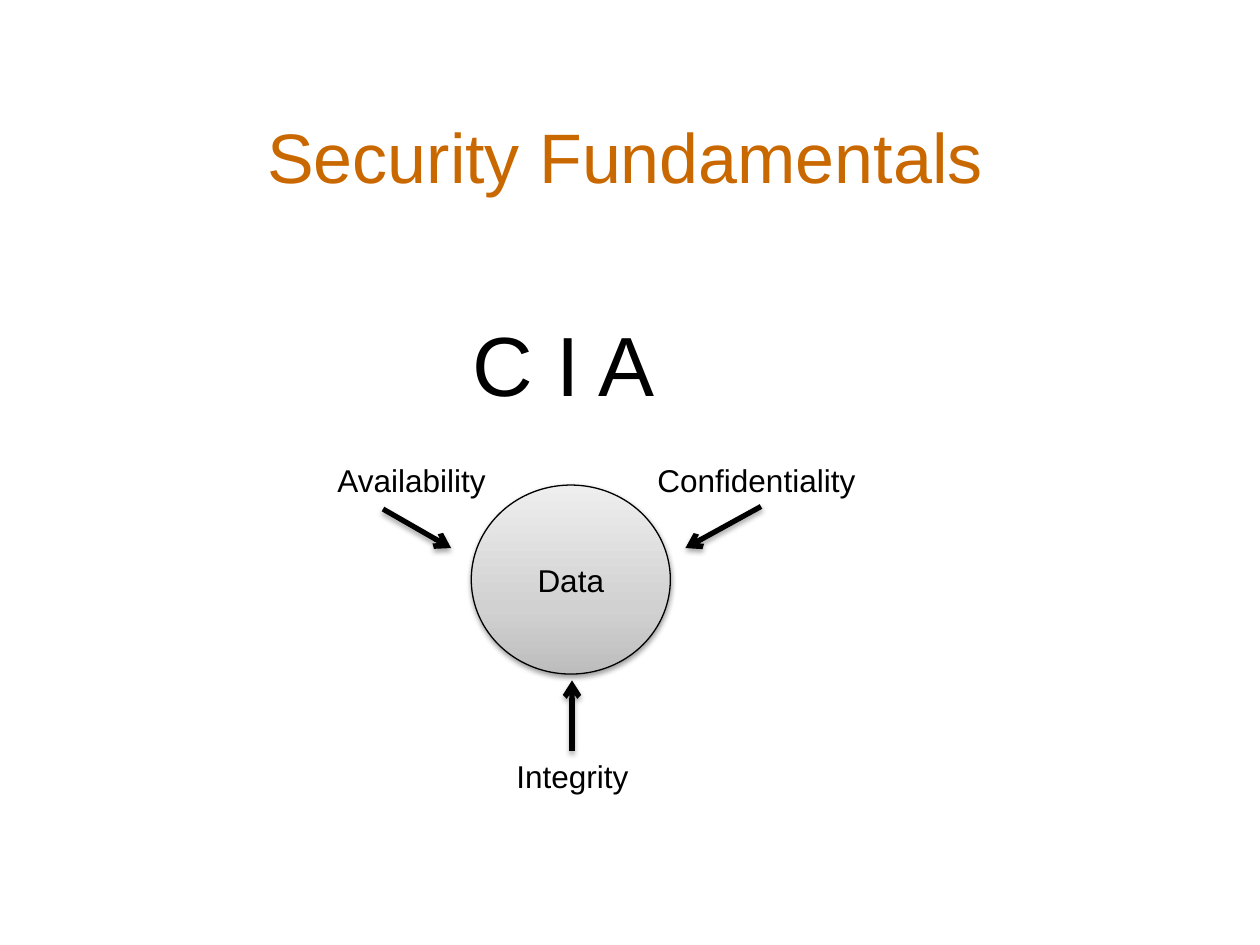
from dataclasses import dataclass

import pptx
import pptx.dml.color
import pptx.enum.dml
import pptx.enum.shapes
import pptx.enum.text
import pptx.oxml
import pptx.oxml.ns
import pptx.slide
import pptx.util
from lxml import etree
from pptx.dml.color import RGBColor
from pptx.util import Inches

BLACK = RGBColor(0x00, 0x00, 0x00)
ORANGE = RGBColor(0xCA, 0x68, 0x00)
GRADIENT_STOPS = (
    (0, RGBColor(0xBD, 0xBD, 0xBD)),
    (35, RGBColor(0xD1, 0xD1, 0xD1)),
    (100, RGBColor(0xEE, 0xEE, 0xEE)),
)
FONT = "Arial"
qn = pptx.oxml.ns.qn


@dataclass
class Label:
    text: str
    left: float
    top: float
    width: float
    height: float = 0.4
    size: int = 18
    color: RGBColor = BLACK
    centered: bool = False


@dataclass
class Arrow:
    start: tuple[float, float]
    end: tuple[float, float]


LABELS = (
    Label("Confidentiality", 5.12, 3.61, 1.83),
    Label("Integrity", 4, 5.96, 1.12),
    Label("Availability", 2.58, 3.61, 1.42),
    Label("C I A", 3.65, 2.43, 1.83, 0.91, size=48),
    Label("Security Fundamentals", 0.46, 0.92, 9, 0.63, 40, ORANGE, True),
)
ARROWS = (
    Arrow((3.04, 4.04), (3.58, 4.35)),
    Arrow((4.54, 5.96), (4.54, 5.4)),
    Arrow((6.04, 4.02), (5.44, 4.35)),
)


def write_text(shape, text: str, size: int, color: RGBColor, centered: bool) -> None:
    frame = shape.text_frame
    frame.word_wrap = True
    frame.text = text
    if centered:
        frame.vertical_anchor = pptx.enum.text.MSO_ANCHOR.MIDDLE
        frame.paragraphs[0].alignment = pptx.enum.text.PP_ALIGN.CENTER
    font = frame.paragraphs[0].runs[0].font
    font.name = FONT
    font.size = pptx.util.Pt(size)
    font.color.rgb = color


def add_shadow(effects, opacity: int, distance: float) -> None:
    """Put a soft black shadow, falling straight down, in an effect list."""
    shadow = etree.SubElement(
        effects, qn("a:outerShdw"),
        blurRad=str(pptx.util.Pt(3.1)), dist=str(pptx.util.Pt(distance)),
        dir=str(90 * 60000), rotWithShape="0",
    )
    color = etree.SubElement(shadow, qn("a:srgbClr"), val=str(BLACK))
    etree.SubElement(color, qn("a:alpha"), val=str(opacity * 1000))


def add_label(slide: pptx.slide.Slide, label: Label) -> None:
    box = slide.shapes.add_textbox(
        Inches(label.left), Inches(label.top), Inches(label.width), Inches(label.height)
    )
    write_text(box, label.text, label.size, label.color, label.centered)


def add_arrow(slide: pptx.slide.Slide, arrow: Arrow) -> None:
    connector = slide.shapes.add_connector(
        pptx.enum.shapes.MSO_CONNECTOR.STRAIGHT,
        *map(Inches, arrow.start + arrow.end),
    )
    connector.line.color.rgb = BLACK
    connector.line.width = pptx.util.Pt(3)
    properties = connector._element.spPr
    etree.SubElement(properties.find(qn("a:ln")), qn("a:tailEnd"), type="arrow")
    add_shadow(etree.SubElement(properties, qn("a:effectLst")), 35, 1.8)


def add_data_circle(slide: pptx.slide.Slide) -> None:
    circle = slide.shapes.add_shape(
        pptx.enum.shapes.MSO_SHAPE.OVAL,
        Inches(3.74), Inches(3.85), Inches(1.58), Inches(1.5),
    )
    circle.fill.gradient()
    circle.fill.gradient_angle = 90
    properties = circle._element.spPr
    stops = properties.find(qn("a:gradFill")).find(qn("a:gsLst"))
    for stop in list(stops):
        stops.remove(stop)
    for position, color in GRADIENT_STOPS:
        stop = etree.SubElement(stops, qn("a:gs"), pos=str(position * 1000))
        etree.SubElement(stop, qn("a:srgbClr"), val=str(color))
    circle.line.color.rgb = BLACK
    circle.line.width = pptx.util.Pt(0.75)
    circle.shadow.inherit = False
    add_shadow(properties.find(qn("a:effectLst")), 38, 1.6)
    write_text(circle, "Data", 18, BLACK, True)


def main() -> None:
    presentation = pptx.Presentation()
    presentation.slide_width = Inches(10)
    presentation.slide_height = Inches(7.5)
    slide = presentation.slides.add_slide(presentation.slide_layouts[6])
    add_data_circle(slide)
    for label in LABELS:
        add_label(slide, label)
    for arrow in ARROWS:
        add_arrow(slide, arrow)
    presentation.save("out.pptx")


if __name__ == "__main__":
    main()
